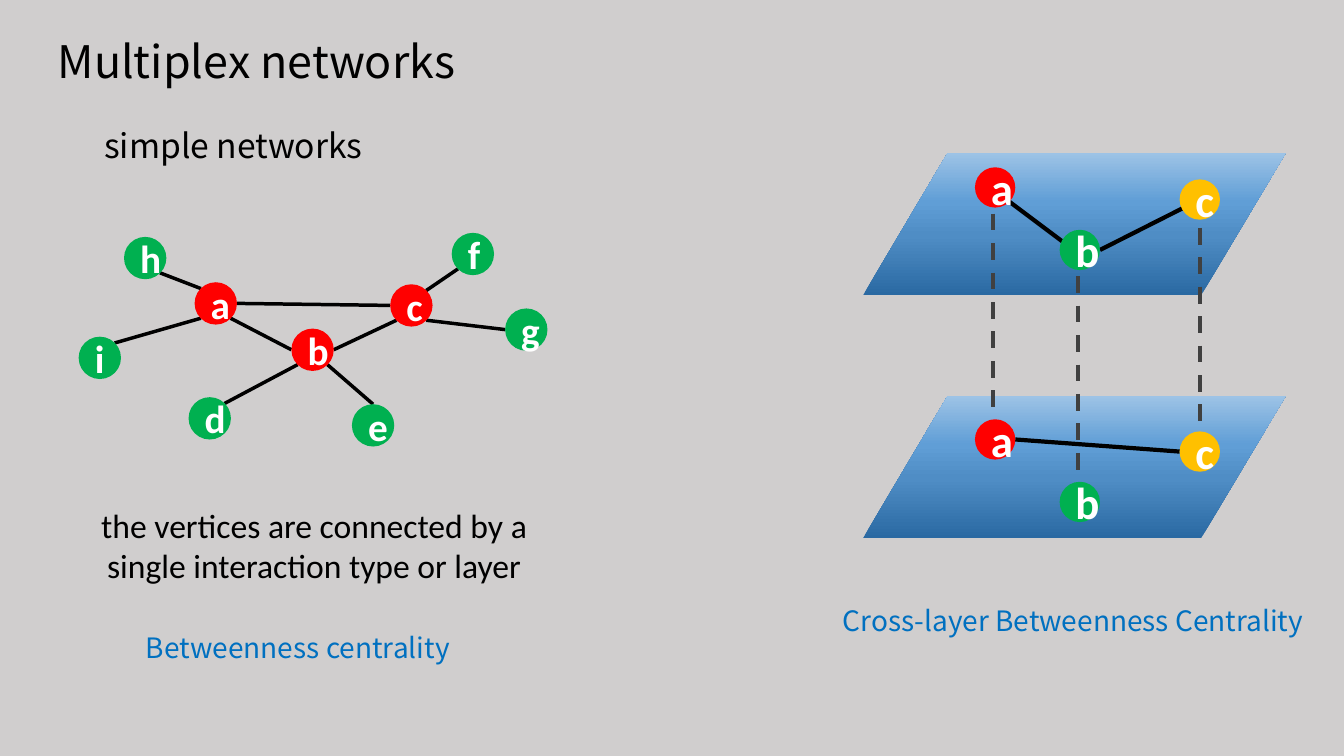
from copy import deepcopy

from lxml import etree
from pptx import Presentation
from pptx.dml.color import RGBColor
from pptx.enum.dml import MSO_LINE
from pptx.enum.shapes import MSO_CONNECTOR, MSO_SHAPE
from pptx.enum.text import MSO_ANCHOR as Anchor, MSO_AUTO_SIZE as AutoSize, PP_ALIGN as Align
from pptx.oxml.ns import qn
from pptx.util import Inches, Pt

HEADING_FONT, BODY_FONT = "Noto Sans CJK SC", "Calibri"
RED, GREEN, AMBER = "FF0000", "00B050", "FFC000"
BLACK, WHITE, BLUE, GREY = "000000", "FFFFFF", "0070C0", "404040"
PLANE_STOPS = [(0, "2A69A2"), (42, "4F8DC5"), (66, "609ED6"), (100, "9DC3E6")]

# Points on a node, as fractions of its diameter from the top left
SITES = {
    "top": (0.5, 0), "left": (0, 0.5), "right": (1, 0.5), "centre": (0.5, 0.5),
    "top left": (0.15, 0.15), "top right": (0.85, 0.15),
    "bottom left": (0.15, 0.85), "bottom right": (0.85, 0.85),
    "inside left": (0.35, 0.5),
}


def rgb(code):
    return RGBColor.from_string(code)


def write(frame, text, font=BODY_FONT, size=24, color=BLACK, bold=False, align=Align.CENTER):
    paragraph = frame.paragraphs[0]
    paragraph.alignment = align
    run = paragraph.add_run()
    run.text = text
    run.font.name, run.font.size, run.font.bold = font, Pt(size), bold
    run.font.color.rgb = rgb(color)


class NetworkSlide:
    def __init__(self, slide, background):
        self.slide = slide
        self.shapes = slide.shapes
        slide.background.fill.solid()
        slide.background.fill.fore_color.rgb = rgb(background)

    def start_group(self):
        """Put the elements that follow into a new group."""
        self.shapes = self.slide.shapes.add_group_shape().shapes

    def text(self, text, left, top, width, height, wrap=False, **style):
        box = self.slide.shapes.add_textbox(*map(Inches, (left, top, width, height)))
        box.text_frame.word_wrap = wrap
        box.text_frame.auto_size = AutoSize.SHAPE_TO_FIT_TEXT
        write(box.text_frame, text, **style)

    def shape(self, kind, left, top, width, height):
        shape = self.shapes.add_shape(kind, *map(Inches, (left, top, width, height)))
        shape.shadow.inherit = False
        shape.line.fill.background()
        return shape

    def plane(self, left, top, width, height):
        fill = self.shape(MSO_SHAPE.FLOWCHART_DATA, left, top, width, height).fill
        fill.gradient()
        fill.gradient_angle = 90
        stop_list = fill.gradient_stops[0]._gs.getparent()
        template = deepcopy(stop_list[0])
        for old_stop in list(stop_list):
            stop_list.remove(old_stop)
        for position, color in PLANE_STOPS:
            stop = deepcopy(template)
            stop.set("pos", str(position * 1000))
            for old_color in list(stop):
                stop.remove(old_color)
            etree.SubElement(stop, qn("a:srgbClr")).set("val", color)
            stop_list.append(stop)

    def node(self, letter, left, top, diameter, color, size):
        circle = self.shape(MSO_SHAPE.OVAL, left, top, diameter, diameter)
        circle.fill.solid()
        circle.fill.fore_color.rgb = rgb(color)
        circle.text_frame.word_wrap = True
        circle.text_frame.vertical_anchor = Anchor.MIDDLE
        write(circle.text_frame, letter, size=size, color=WHITE, bold=True)

    def line(self, start, end, color=BLACK, weight=2.5, dashed=False):
        line = self.shapes.add_connector(MSO_CONNECTOR.STRAIGHT, *map(Inches, (*start, *end)))
        line.line.color.rgb = rgb(color)
        line.line.width = Pt(weight)
        if dashed:
            line.line.dash_style = MSO_LINE.DASH
        etree.SubElement(line._element.spPr, qn("a:effectLst"))

    def network(self, nodes, edges, diameter, size, weight):
        """Draw the edges, then the nodes (letter: left, top, colour) over them."""
        def site(letter, name):
            left, top, _ = nodes[letter]
            across, down = SITES[name]
            return left + across * diameter, top + down * diameter

        for source, source_site, target, target_site in edges:
            self.line(site(source, source_site), site(target, target_site), weight=weight)
        for letter, (left, top, color) in nodes.items():
            self.node(letter, left, top, diameter, color, size)


def draw_simple_network(page):
    nodes = {
        "a": (1.93, 2.8, RED), "b": (2.89, 3.26, RED), "c": (3.87, 2.82, RED),
        "d": (1.87, 3.94, GREEN), "e": (3.49, 4.01, GREEN), "f": (4.48, 2.31, GREEN),
        "g": (5.01, 3.06, GREEN), "h": (1.23, 2.35, GREEN), "i": (0.78, 3.34, GREEN),
    }
    edges = [
        ("a", "bottom right", "b", "left"), ("b", "right", "c", "bottom left"),
        ("a", "right", "c", "left"), ("h", "bottom right", "a", "top left"),
        ("i", "top right", "a", "bottom left"), ("c", "top right", "f", "bottom left"),
        ("c", "bottom right", "g", "left"), ("d", "top right", "b", "bottom left"),
        ("b", "bottom right", "e", "top"),
    ]
    page.start_group()
    page.network(nodes, edges, diameter=0.42, size=28, weight=2.5)


def draw_multiplex_network(page):
    nodes = {"a": (9.67, 1.66, RED), "b": (10.51, 2.28, GREEN), "c": (11.7, 1.78, AMBER)}
    upper_edges = [("a", "bottom right", "b", "inside left"), ("b", "right", "c", "centre")]
    lower_edges = [("a", "right", "c", "left")]
    layer_drop = 2.5
    lower_nodes = {letter: (left, top + layer_drop, color)
                   for letter, (left, top, color) in nodes.items()}

    page.start_group()
    for plane_top in (1.52, 3.93):
        page.plane(8.56, plane_top, 4.19, 1.41)
    for layer, edges in ((nodes, upper_edges), (lower_nodes, lower_edges)):
        page.network(layer, edges, diameter=0.4, size=32, weight=3)
    for x, top in ((9.85, 2.12), (10.69, 2.74), (11.9, 2.26)):
        page.line((x, top), (x, top + 1.99), color=GREY, weight=3, dashed=True)


def main():
    deck = Presentation()
    deck.slide_width, deck.slide_height = Inches(13.33), Inches(7.5)
    page = NetworkSlide(deck.slides.add_slide(deck.slide_layouts[6]), "D0CECE")

    page.text("Multiplex networks", 0.4, 0.29, 4.29, 0.64, font=HEADING_FONT, size=32)
    page.text("simple networks", 0.9, 1.19, 2.83, 0.5, font=HEADING_FONT)
    page.text("the vertices are connected by a single interaction type or layer",
              0.79, 4.96, 4.65, 0.91, wrap=True)
    draw_simple_network(page)
    draw_multiplex_network(page)
    measure = {"font": HEADING_FONT, "size": 20, "color": BLUE, "align": Align.LEFT}
    page.text("Cross-layer Betweenness Centrality", 8.26, 5.94, 4.9, 0.44, **measure)
    page.text("Betweenness centrality", 1.35, 6.21, 3.27, 0.44, **measure)

    deck.save("out.pptx")


if __name__ == "__main__":
    main()
